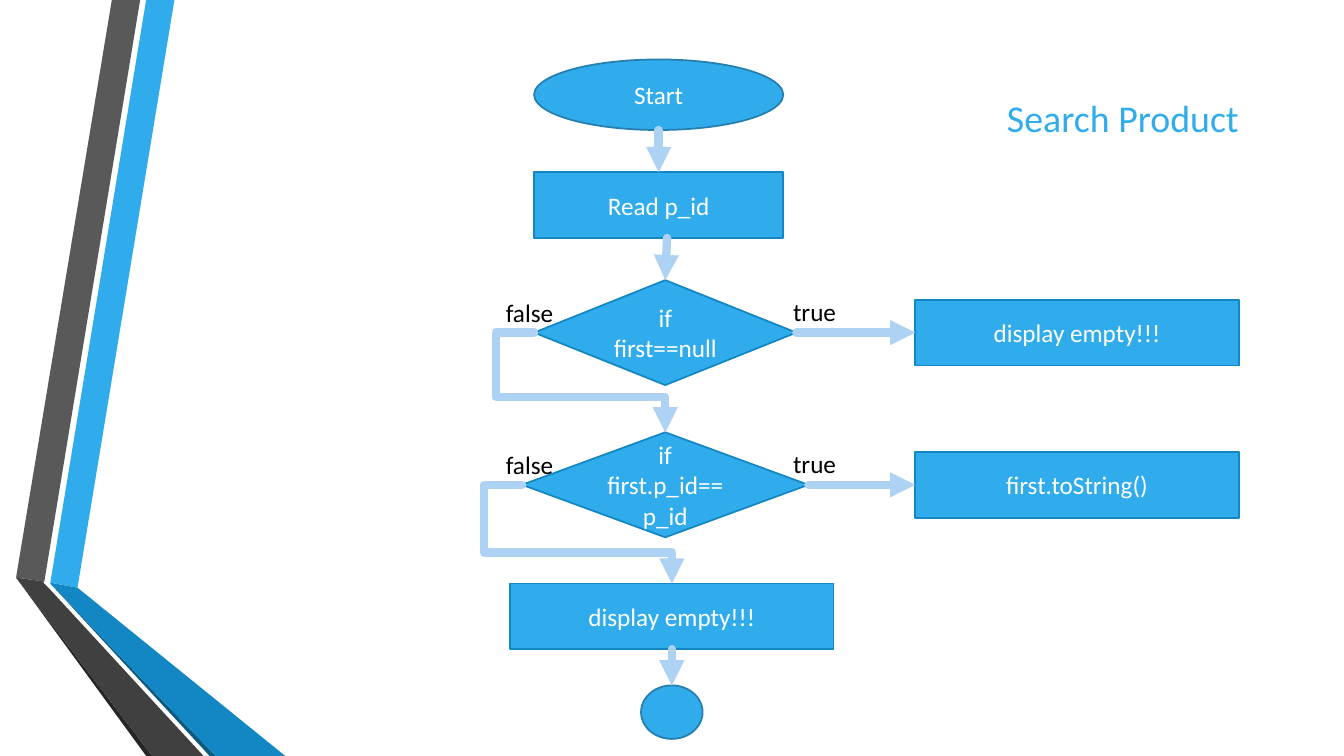
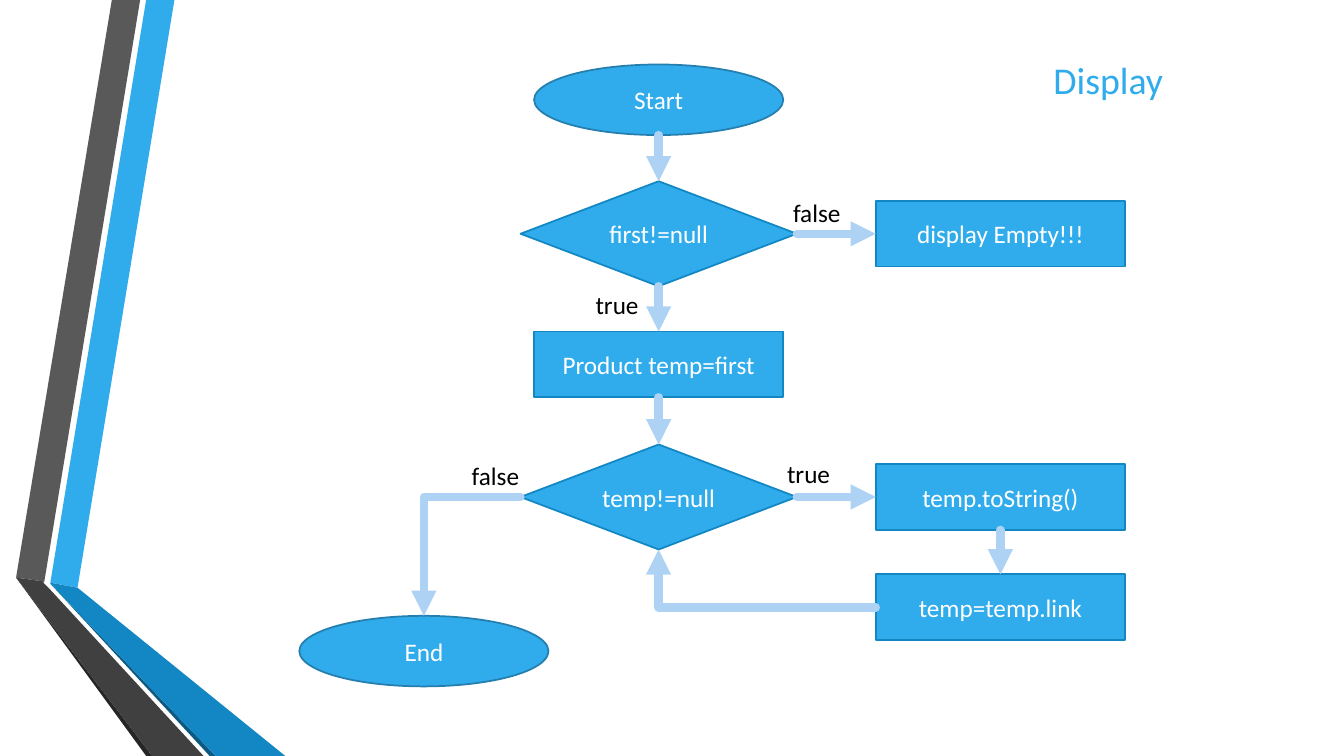
"""Build two flowchart slides, product search and display, over a shared folded-ribbon layout."""
from dataclasses import dataclass
from enum import IntEnum
from typing import NamedTuple, Optional

from lxml import etree
from pptx import Presentation
from pptx import util as u
from pptx.dml.color import RGBColor
from pptx.enum import shapes, text
from pptx.oxml import ns

Point = tuple[float, float]
OVAL = shapes.MSO_SHAPE.OVAL
RECT = shapes.MSO_SHAPE.RECTANGLE
DIAMOND = shapes.MSO_SHAPE.DIAMOND
JOIN = shapes.MSO_SHAPE.FLOWCHART_CONNECTOR
ROUND_KINDS = (OVAL, JOIN)


@dataclass(frozen=True)
class Theme:
    font: str = "Calibri"
    title_size: float = 27
    body_size: float = 18
    outline: float = 1.25
    arrow_width: float = 6
    accent: RGBColor = RGBColor(0x30, 0xAC, 0xEC)
    edge: RGBColor = RGBColor(0x12, 0x87, 0xC3)
    round_edge: RGBColor = RGBColor(0x24, 0x7F, 0xAF)
    arrow: RGBColor = RGBColor(0xAE, 0xD2, 0xF4)
    light: RGBColor = RGBColor(0xFF, 0xFF, 0xFF)
    dark: RGBColor = RGBColor(0, 0, 0)


class Site(IntEnum):
    TOP = 0
    LEFT = 1
    BOTTOM = 2
    RIGHT = 3


class Band(NamedTuple):
    color: RGBColor
    points: list[Point]


class Node(NamedTuple):
    kind: shapes.MSO_SHAPE
    cx: float
    cy: float
    w: float
    h: float
    label: str = ""

    def site(self, site: Site) -> Point:
        dx, dy = ((0, -0.5), (-0.5, 0), (0, 0.5), (0.5, 0))[site]
        return self.cx + dx * self.w, self.cy + dy * self.h


class Flow(NamedTuple):
    source: str
    leave: Site
    target: str
    enter: Site
    corner: bool = False
    bend: Optional[Point] = None
    shift: float = 0


class Label(NamedTuple):
    label: str
    x: float
    y: float


class Chart(NamedTuple):
    title: str
    title_box: tuple[float, float, float, float]
    nodes: dict[str, Node]
    flows: list[Flow]
    labels: list[Label]


THEME = Theme()
NODE_W, WIDE_W = 178, 231
OVAL_H, RECT_H, DIAMOND_H = 50.4, 47, 75
LABEL_W, LABEL_H = 70.6, 29
MAIN_X = 470.5

BANDS = [
    Band(THEME.accent, [(36, 416.2), (55.4, 419.8), (124.6, 0), (104.4, 0)]),
    Band(RGBColor(0x59, 0x59, 0x59),
         [(100.1, 0), (79.9, 0), (11.5, 412.6), (31.7, 415.4)]),
    Band(RGBColor(0x26, 0x26, 0x26), [(11.5, 412.6), (104.4, 540), (108.7, 540)]),
    Band(RGBColor(0x0C, 0x5A, 0x82), [(36, 416.9), (149.8, 540), (154.1, 540)]),
    Band(THEME.edge,
         [(36, 416.2), (36, 416.9), (154.1, 540), (203.8, 540), (55.4, 419.8)]),
    Band(RGBColor(0x40, 0x40, 0x40),
         [(145.4, 540), (34.6, 419.8), (31, 416.2), (31.7, 415.4),
          (11.5, 412.6), (108.7, 540)]),
]

SEARCH = Chart(
    "Search Product", (712.1, 64.1, 193.7, 51.1),
    {
        "start": Node(OVAL, MAIN_X, 67.7, NODE_W, OVAL_H, "Start"),
        "read": Node(RECT, MAIN_X, 146.5, NODE_W, RECT_H, "Read p_id"),
        "is_null": Node(DIAMOND, 475.2, 237.6, 187.2, DIAMOND_H, "if first==null"),
        "empty": Node(RECT, 769.3, 237.6, WIDE_W, RECT_H, "display empty!!!"),
        "is_match": Node(DIAMOND, 475.2, 346.3, 204.5, DIAMOND_H, "if first.p_id==p_id"),
        "found": Node(RECT, 769.3, 346.3, WIDE_W, RECT_H, "first.toString()"),
        "missing": Node(RECT, 479.9, 440.3, WIDE_W, RECT_H, "display empty!!!"),
        "join": Node(JOIN, 479.9, 508.7, 44, 38.2),
    },
    [
        Flow("is_null", Site.LEFT, "is_match", Site.TOP, bend=(354.2, 283.7)),
        Flow("is_match", Site.LEFT, "missing", Site.TOP, bend=(345.6, 394.6)),
        Flow("missing", Site.BOTTOM, "join", Site.TOP),
        Flow("is_match", Site.RIGHT, "found", Site.LEFT),
        Flow("is_null", Site.RIGHT, "empty", Site.LEFT),
        Flow("read", Site.BOTTOM, "is_null", Site.TOP, shift=6),
        Flow("start", Site.BOTTOM, "read", Site.TOP),
    ],
    [Label("true", 559.4, 208.1), Label("true", 559.4, 316.8),
     Label("false", 354.2, 317.5), Label("false", 354.2, 208.8)],
)

DISPLAY = Chart(
    "Display", (745.2, 36.7, 174.2, 51.1),
    {
        "start": Node(OVAL, MAIN_X, 71.3, NODE_W, OVAL_H, "Start"),
        "has_first": Node(DIAMOND, MAIN_X, 167, 197.3, DIAMOND_H, "first!=null"),
        "empty": Node(RECT, 714.6, 167, NODE_W, RECT_H, "display Empty!!!"),
        "assign": Node(RECT, MAIN_X, 260.3, NODE_W, RECT_H, "Product temp=first"),
        "has_temp": Node(DIAMOND, MAIN_X, 355, 197.3, DIAMOND_H, "temp!=null"),
        "show": Node(RECT, 714.6, 355, NODE_W, RECT_H, "temp.toString()"),
        "next": Node(RECT, 714.6, 433.8, NODE_W, RECT_H, "temp=temp.link"),
        "end": Node(OVAL, 302.8, 465.1, NODE_W, OVAL_H, "End"),
    },
    [
        Flow("assign", Site.BOTTOM, "has_temp", Site.TOP),
        Flow("start", Site.BOTTOM, "has_first", Site.TOP),
        Flow("has_first", Site.BOTTOM, "assign", Site.TOP),
        Flow("has_temp", Site.RIGHT, "show", Site.LEFT),
        Flow("show", Site.BOTTOM, "next", Site.TOP),
        Flow("has_temp", Site.LEFT, "end", Site.TOP, corner=True),
        Flow("next", Site.LEFT, "has_temp", Site.BOTTOM, corner=True),
        Flow("has_first", Site.RIGHT, "empty", Site.LEFT),
    ],
    [Label("false", 559.4, 137.5), Label("false", 329.8, 325.4),
     Label("true", 418.3, 203), Label("true", 555.1, 324)],
)


def write(tf, label: str, size: float, color: RGBColor, align, anchor) -> None:
    tf.word_wrap = True
    tf.auto_size = text.MSO_AUTO_SIZE.NONE
    tf.vertical_anchor = anchor
    p = tf.paragraphs[0]
    p.alignment = align
    r = p.add_run()
    r.text = label
    r.font.name = THEME.font
    r.font.size = u.Pt(size)
    r.font.color.rgb = color


def add_bands(slide, layout) -> None:
    for number, band in enumerate(BANDS, start=101):
        points = [(u.Pt(x), u.Pt(y)) for x, y in band.points]
        builder = slide.shapes.build_freeform(*points[0])
        builder.add_line_segments(points[1:], close=True)
        sp = builder.convert_to_shape()
        sp.shadow.inherit = False
        sp.fill.solid()
        sp.fill.fore_color.rgb = band.color
        sp.line.fill.background()
        sp.element.xpath(".//p:cNvPr")[0].set("id", str(number))
        layout.shapes.element.append(sp.element)


def add_title(slide, chart: Chart) -> None:
    sp = slide.shapes.title
    sp.left, sp.top, sp.width, sp.height = (u.Pt(v) for v in chart.title_box)
    write(sp.text_frame, chart.title, THEME.title_size, THEME.accent,
          text.PP_ALIGN.LEFT, text.MSO_ANCHOR.TOP)


def add_node(slide, node: Node):
    sp = slide.shapes.add_shape(
        node.kind, u.Pt(node.cx - node.w / 2), u.Pt(node.cy - node.h / 2),
        u.Pt(node.w), u.Pt(node.h))
    sp.shadow.inherit = False
    sp.fill.solid()
    sp.fill.fore_color.rgb = THEME.accent
    sp.line.color.rgb = THEME.round_edge if node.kind in ROUND_KINDS else THEME.edge
    sp.line.width = u.Pt(THEME.outline)
    if node.label:
        write(sp.text_frame, node.label, THEME.body_size, THEME.light,
              text.PP_ALIGN.CENTER, text.MSO_ANCHOR.MIDDLE)
    return sp


def set_route(connector, flow: Flow, begin: Point, end: Point) -> None:
    geometry = connector.element.xpath(".//a:prstGeom")[0]
    if flow.corner:
        geometry.set("prst", "bentConnector2")
    elif flow.bend:
        geometry.set("prst", "bentConnector4")
        guides = geometry.find(ns.qn("a:avLst"))
        for axis in (0, 1):
            ratio = (flow.bend[axis] - begin[axis]) / (end[axis] - begin[axis])
            etree.SubElement(guides, ns.qn("a:gd"), name=f"adj{axis + 1}",
                             fmla=f"val {round(ratio * 100000)}")


def style_arrow(connector) -> None:
    connector.line.color.rgb = THEME.arrow
    connector.line.width = u.Pt(THEME.arrow_width)
    ln = connector.element.xpath(".//a:ln")[0]
    ln.set("cap", "rnd")
    etree.SubElement(ln, ns.qn("a:round"))
    etree.SubElement(ln, ns.qn("a:tailEnd"), type="triangle")
    etree.SubElement(ln.getparent(), ns.qn("a:effectLst"))


def add_flow(slide, flow: Flow, nodes: dict[str, Node], drawn: dict) -> None:
    source, target = nodes[flow.source], nodes[flow.target]
    x, y = source.site(flow.leave)
    begin, end = (x + flow.shift, y), target.site(flow.enter)
    kind = shapes.MSO_CONNECTOR.ELBOW if flow.corner or flow.bend else shapes.MSO_CONNECTOR.STRAIGHT
    connector = slide.shapes.add_connector(kind, *(u.Pt(v) for v in begin + end))
    if not flow.shift:
        connector.begin_connect(drawn[flow.source], flow.leave.value)
    connector.end_connect(drawn[flow.target], flow.enter.value)
    for tag, node, site in (("stCxn", source, flow.leave), ("endCxn", target, flow.enter)):
        if node.kind in ROUND_KINDS:
            for joint in connector.element.xpath(f".//a:{tag}"):
                joint.set("idx", str(site.value * 2))
    set_route(connector, flow, begin, end)
    style_arrow(connector)


def add_label(slide, label: Label) -> None:
    sp = slide.shapes.add_textbox(u.Pt(label.x), u.Pt(label.y), u.Pt(LABEL_W), u.Pt(LABEL_H))
    write(sp.text_frame, label.label, THEME.body_size, THEME.dark,
          text.PP_ALIGN.LEFT, text.MSO_ANCHOR.TOP)


def add_chart_content(slide, chart: Chart) -> None:
    add_title(slide, chart)
    drawn = {name: add_node(slide, node) for name, node in chart.nodes.items()}
    for flow in chart.flows:
        add_flow(slide, flow, chart.nodes, drawn)
    for label in chart.labels:
        add_label(slide, label)


def main() -> None:
    prs = Presentation()
    prs.slide_width, prs.slide_height = u.Pt(960), u.Pt(540)
    layout = prs.slide_layouts.get_by_name("Title Only")
    slides = [prs.slides.add_slide(layout) for _ in (SEARCH, DISPLAY)]
    add_bands(slides[0], layout)
    for slide, chart in zip(slides, (SEARCH, DISPLAY)):
        add_chart_content(slide, chart)
    prs.save("out.pptx")


if __name__ == "__main__":
    main()
